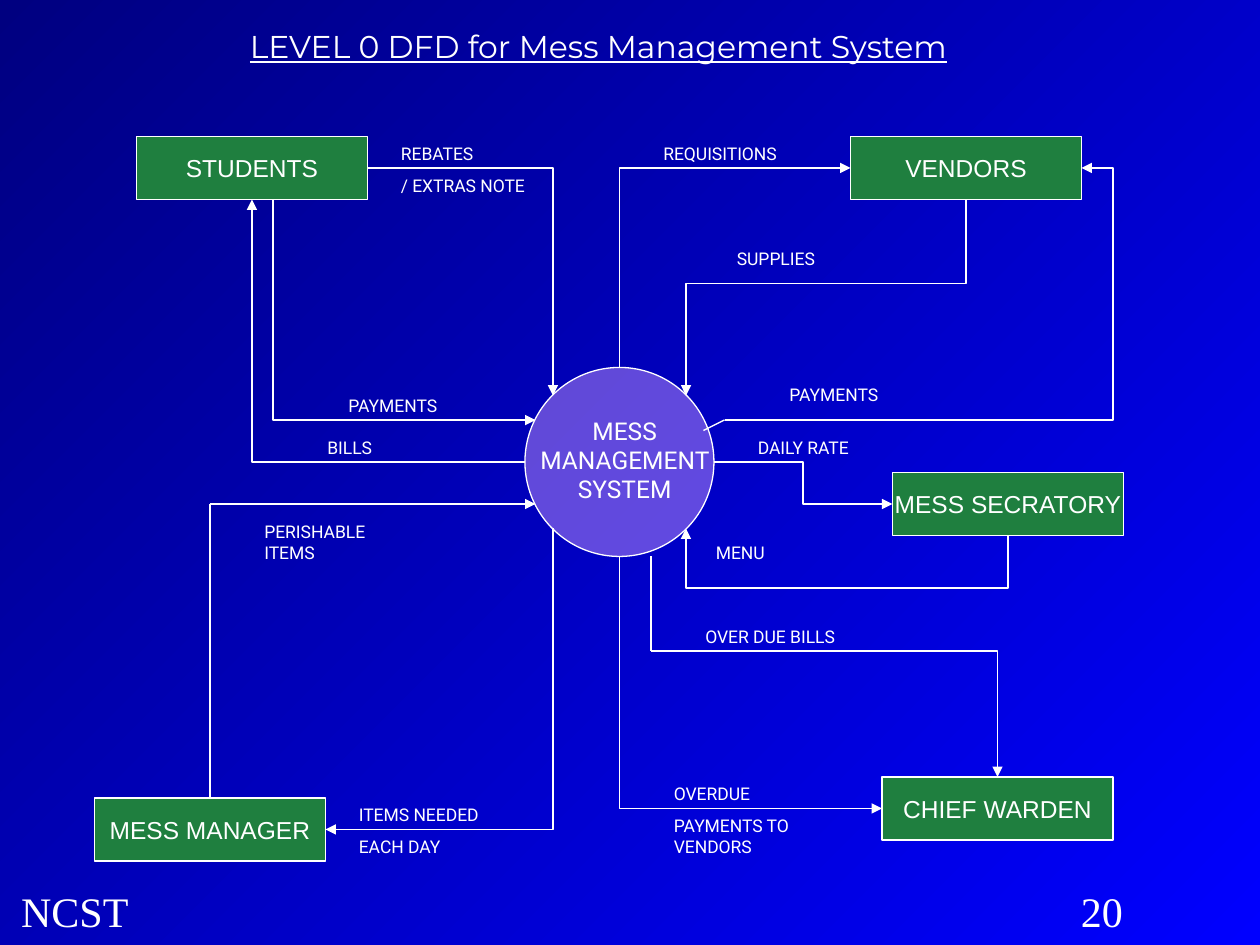
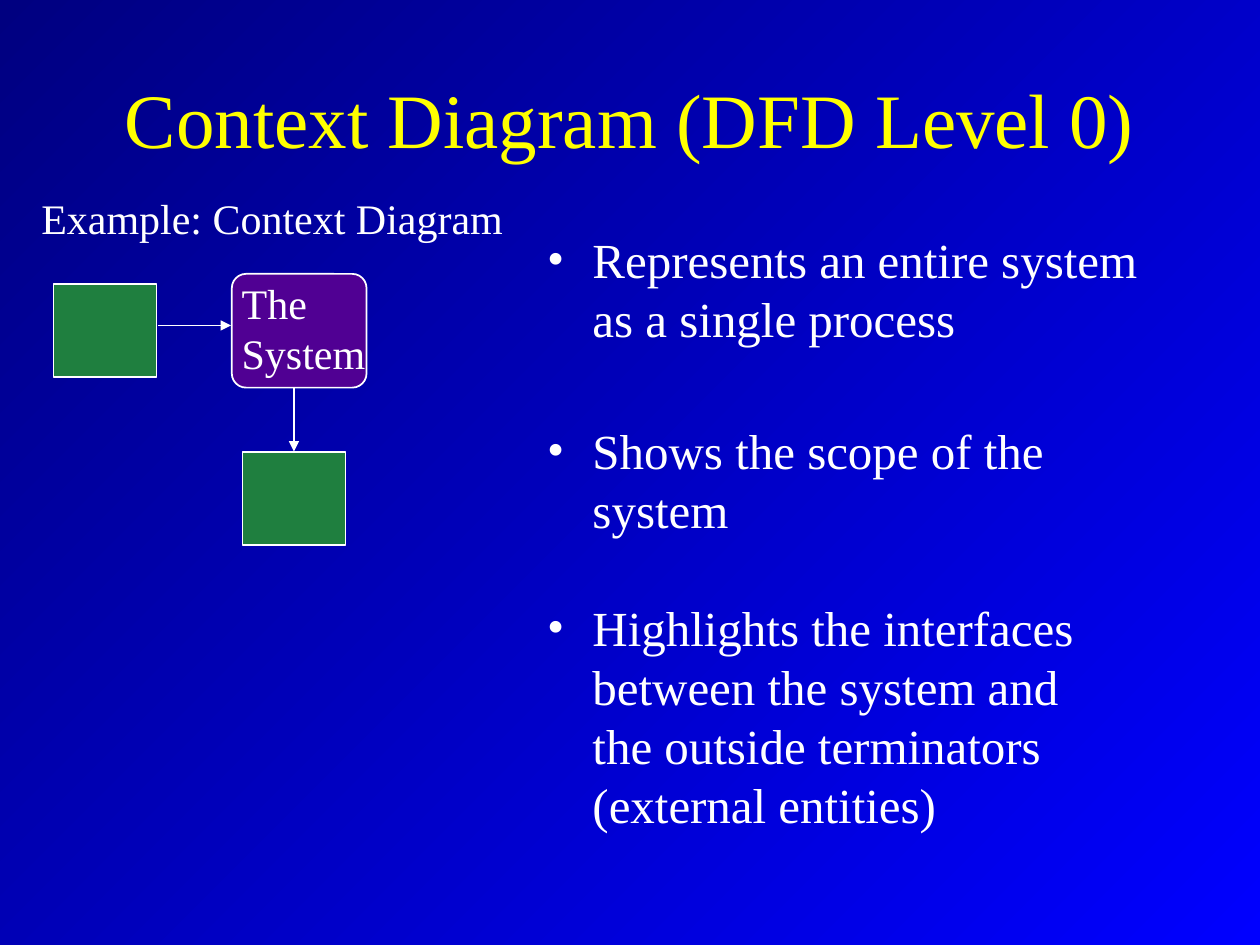
"""Build two slides on the level 0 data flow diagram."""
from lxml import etree
from pptx import Presentation
from pptx.dml import color
from pptx.enum import shapes, text
from pptx.oxml import ns
from pptx.util import Pt

HUE = {"ink": "FFFFFF", "head": "FFFF00", "box": "1F7F3F", "core": "CC99FF",
       "system": "500093", "dark": "000080", "light": "0000FF"}
SERIF = "Times New Roman"
FORM = shapes.MSO_SHAPE
LINK = shapes.MSO_CONNECTOR
ALIGN = text.PP_ALIGN
MIDDLE = text.MSO_ANCHOR.MIDDLE


def rgb(name):
    """Return the named colour."""
    return color.RGBColor.from_string(HUE[name])


def put(item, vals):
    """Set each attribute in vals on item."""
    for key, val in vals.items():
        setattr(item, key, val)


def sub(node, tag, **vals):
    """Append an XML child with the given attributes."""
    return etree.SubElement(node, ns.qn(tag), vals)


class Deck:
    """Hold the style and the current slide."""

    def __init__(self, wide, high):
        """Start a deck of the given size."""
        self.prs = Presentation()
        put(self.prs, {"slide_width": Pt(wide), "slide_height": Pt(high)})

    def page(self, width):
        """Add a slide with the shared gradient and a line width."""
        self.slide = self.prs.slides.add_slide(self.prs.slide_layouts[6])
        self.width = width
        fill = self.slide.background.fill
        fill.gradient()
        fill.gradient_angle = 315
        for stop, name, pos in zip(fill.gradient_stops, ("dark", "light"), (0, 1)):
            put(stop, {"position": pos})
            stop.color.rgb = rgb(name)

    def say(self, frame, lines, size, font, hue="ink", align=ALIGN.LEFT,
            gap=0, line=False):
        """Fill a text frame with styled paragraphs."""
        for num, words in enumerate(lines):
            para = frame.paragraphs[0] if num == 0 else frame.add_paragraph()
            para.text = words
            put(para, {"alignment": align, "space_before": Pt(gap if num else 0)})
            for run in para.runs:
                put(run.font, {"size": Pt(size), "name": font, "underline": line})
                run.font.color.rgb = rgb(hue)
        return frame

    def label(self, area, lines, size=10, font="Roboto", anchor=None, **style):
        """Add a text box."""
        frame = self.slide.shapes.add_textbox(*map(Pt, area)).text_frame
        put(frame, {"word_wrap": True, "vertical_anchor": anchor})
        return self.say(frame, lines, size, font, **style)

    def shape(self, form, area, hue, words="", alpha=None, curve=None):
        """Add an outlined preset shape."""
        item = self.slide.shapes.add_shape(form, *map(Pt, area))
        item.shadow.inherit = False
        item.fill.solid()
        item.fill.fore_color.rgb = rgb(hue)
        item.line.color.rgb = rgb("ink")
        item.line.width = Pt(self.width)
        if curve:
            item.adjustments[0] = curve
        if alpha:
            node = item._element.spPr.find(".//" + ns.qn("a:srgbClr"))
            sub(node, "a:alpha", val=str(alpha * 1000))
        if words:
            put(item.text_frame, {"word_wrap": False, "vertical_anchor": MIDDLE})
            self.say(item.text_frame, [words], 14, "Arial", align=ALIGN.CENTER)

    def line(self, ends, kind=LINK.STRAIGHT, arrow=True):
        """Add a connector and return its properties."""
        item = self.slide.shapes.add_connector(kind, *map(Pt, ends))
        item.line.color.rgb = rgb("ink")
        item.line.width = Pt(self.width)
        props = item._element.spPr
        if arrow:
            sub(props.find(ns.qn("a:ln")), "a:tailEnd", type="triangle")
        sub(props, "a:effectLst")
        return props

    def bend(self, ends, down=False, mid=None):
        """Add an elbow arrow, leaving sideways or vertically."""
        left, top, right, low = ends
        wide, high = right - left, low - top
        if down:
            x, y = (left + right) / 2, (top + low) / 2
            ends = (x - high / 2, y + wide / 2, x + high / 2, y - wide / 2)
        props = self.line(ends, LINK.ELBOW)
        if down:
            props.find(ns.qn("a:xfrm")).set("rot", "5400000")
        geom = props.find(ns.qn("a:prstGeom"))
        if mid is None:
            geom.set("prst", "bentConnector2")
            return
        part = (mid - top) / high if down else (mid - left) / wide
        guides = geom.find(ns.qn("a:avLst"))
        if guides is None:
            guides = sub(geom, "a:avLst")
        sub(guides, "a:gd", name="adj1", fmla=f"val {round(part * 100000)}")

    def points(self, area, items, size, indent):
        """Add a bulleted list; each item is its gap and its words."""
        frame = self.label(area, [words for _, words in items], size, SERIF)
        for para, (gap, _) in zip(frame.paragraphs, items):
            props = para._p.get_or_add_pPr()
            props.set("marL", str(Pt(indent)))
            props.set("indent", str(-Pt(indent)))
            sub(sub(props, "a:buClr"), "a:srgbClr", val=HUE["ink"])
            sub(props, "a:buFont", typeface=SERIF)
            sub(props, "a:buChar", char="•")
            para.space_before = Pt(gap)


def flows(deck):
    """Draw the data flow diagram."""
    deck.page(0.75)
    for left, words in ((5, "NCST"), (610.5, "20")):
        deck.label((left, 502.5, 90, 36), [words], 24, SERIF)
    deck.shape(FORM.OVAL, (300, 210, 108, 108), "core", alpha=48)
    for left, top, words in ((510, 270, "MESS SECRATORY"), (504, 444, "CHIEF WARDEN"),
                             (54, 456, "MESS MANAGER"), (486, 78, "VENDORS"),
                             (78, 78, "STUDENTS")):
        deck.shape(FORM.RECTANGLE, (left, top, 132, 36), "box", words)
    for ends, down, mid in (
            ((210, 96, 316, 226), False, None),
            ((156, 114, 306, 240), True, None),
            ((300, 264, 144, 114), False, None),
            ((354, 210, 486, 96), True, None),
            ((552, 114, 392, 226), True, 162),
            ((414, 240, 618, 96), False, 636),
            ((408, 264, 510, 288), False, 459),
            ((576, 306, 392, 302), True, 336),
            ((354, 318, 504, 462), True, None),
            ((316, 302, 186, 474), True, None),
            ((372, 372, 570, 444), False, None)):
        deck.bend(ends, down, mid)
    for ends, arrow in (((414, 240, 402, 246), False), ((120, 456, 120, 288), False),
                        ((120, 288, 306, 288), True), ((372, 318, 372, 372), False)):
        deck.line(ends, arrow=arrow)
    deck.label((300, 234, 114, 58), ["MESS MANAGEMENT SYSTEM"], 14, align=ALIGN.CENTER)
    for left, top, *lines in (
            (222, 78, "REBATES", "/ EXTRAS NOTE"), (192, 222, "PAYMENTS"),
            (180, 246, "BILLS"), (372, 78, "REQUISITIONS"), (414, 138, "SUPPLIES"),
            (444, 216, "PAYMENTS"), (426, 246, "DAILY RATE"), (402, 306, "MENU"),
            (396, 354, "OVER DUE BILLS"), (378, 444, "OVERDUE", "PAYMENTS TO VENDORS"),
            (198, 456, "ITEMS NEEDED", "EACH DAY"), (144, 294, "PERISHABLE ITEMS")):
        deck.label((left, top, 102, 20 * len(lines)), lines, gap=6.2)
    deck.label((96, 12, 492, 29), ["LEVEL 0 DFD for Mess Management System"], 18,
               "Montserrat", align=ALIGN.CENTER, line=True)


def context(deck):
    """Draw the context diagram slide."""
    deck.page(1)
    deck.label((54, 22.5, 612, 90), ["Context Diagram (DFD Level 0)"], 44, SERIF,
               MIDDLE, hue="head", align=ALIGN.CENTER)
    deck.shape(FORM.ROUNDED_RECTANGLE, (132.5, 156.5, 77, 65), "system", curve=0.125)
    for left, top in ((30.5, 162.5), (138.5, 258.5)):
        deck.shape(FORM.RECTANGLE, (left, top, 59, 53), "box")
    for ends in ((90, 186, 132, 186), (168, 222, 168, 258)):
        deck.line(ends)
    deck.label((16.5, 106.5, 290, 36), ["Example: Context Diagram"], 24, SERIF)
    deck.label((131, 155, 90, 65), ["The", "System"], 24, SERIF)
    deck.points((305.5, 127.5, 383, 319), (
        (0, "Represents an entire system\vas a single process"),
        (42, "Shows the scope of the\vsystem"),
        (34, "Highlights the interfaces\vbetween the system and\v"
             "the outside terminators\v(external entities)")), 28, 26)


def main():
    """Build and save the deck."""
    deck = Deck(720, 540)
    flows(deck)
    context(deck)
    deck.prs.save("out.pptx")


if __name__ == "__main__":
    main()
